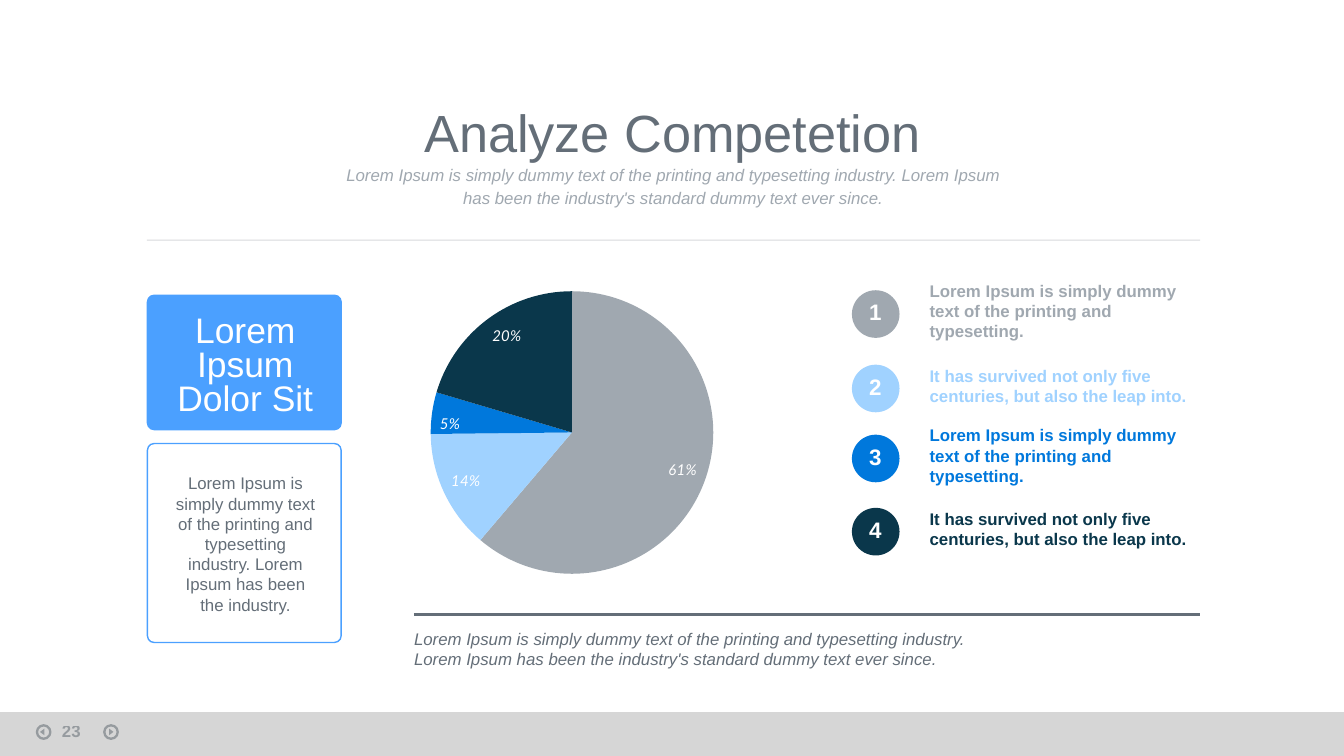
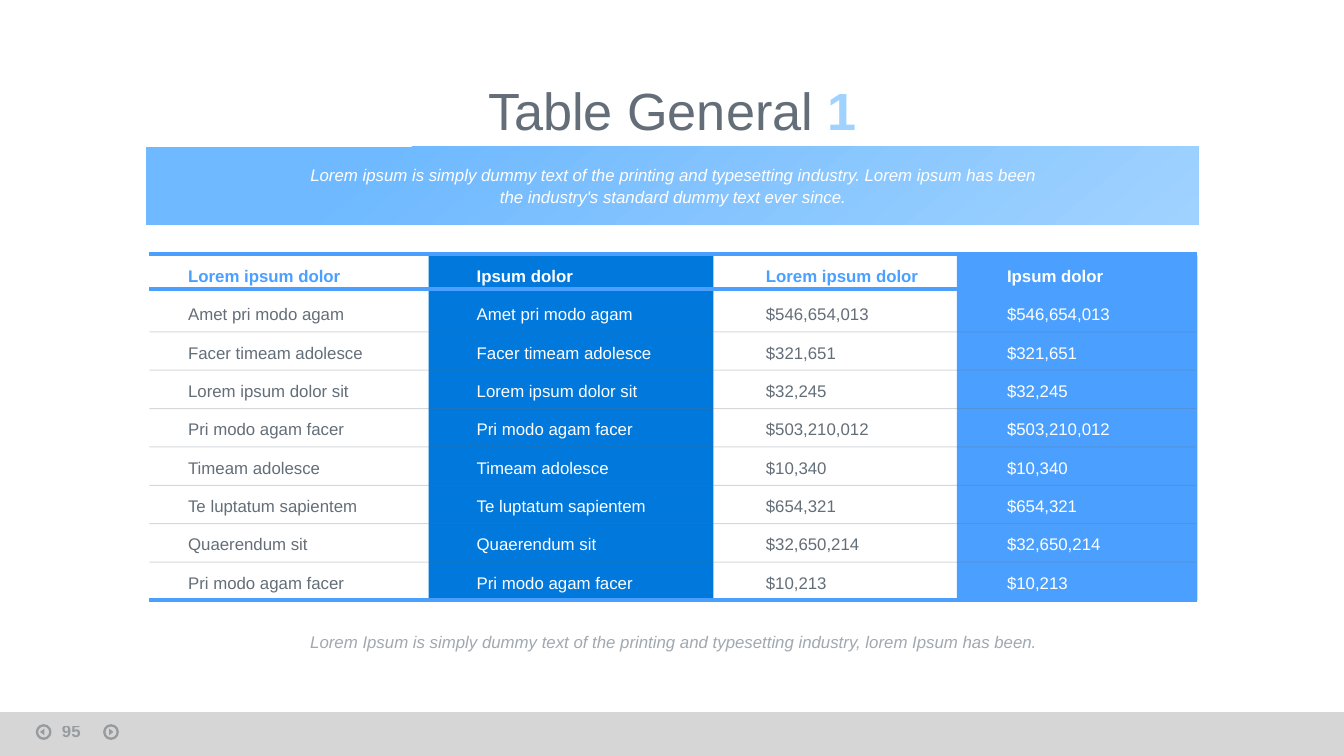
from dataclasses import dataclass

from lxml import etree
from pptx import Presentation
from pptx.chart.data import CategoryChartData
from pptx.dml.color import RGBColor
from pptx.enum.chart import XL_CHART_TYPE, XL_LABEL_POSITION
from pptx.enum.shapes import MSO_CONNECTOR, MSO_SHAPE
from pptx.enum.text import MSO_ANCHOR, PP_ALIGN
from pptx.oxml.ns import qn
from pptx.util import Pt

LEFT, MID = PP_ALIGN.LEFT, PP_ALIGN.CENTER
TOP, CENTER = MSO_ANCHOR.TOP, MSO_ANCHOR.MIDDLE
RECT, ROUND = MSO_SHAPE.RECTANGLE, MSO_SHAPE.ROUNDED_RECTANGLE
OVAL, ARROW = MSO_SHAPE.OVAL, MSO_SHAPE.ISOSCELES_TRIANGLE
PIE, INNER = XL_CHART_TYPE.PIE, XL_LABEL_POSITION.INSIDE_END
STRAIGHT = MSO_CONNECTOR.STRAIGHT


@dataclass(frozen=True)
class Theme:
    slate: str = "646E78"
    gray: str = "A0A8B0"
    pale: str = "A0D2FF"
    sky: str = "6EB9FF"
    blue: str = "4BA0FF"
    deep: str = "0078DC"
    navy: str = "0A374B"
    ink: str = "051423"
    band: str = "D2D2D2"
    white: str = "FFFFFF"
    black: str = "000000"
    font: str = "Arial"
    chart: str = "Calibri"
    label: str = "Lato"
    title: float = 28
    head: float = 19
    badge: float = 12
    plot: float = 9.1
    body: float = 9
    small: float = 8


T = Theme()


def rgb(code):
    return RGBColor.from_string(code)


def fade(node, part):
    """Give every colour inside the XML node an opacity in percent."""
    for color in node.iter(qn("a:srgbClr")):
        etree.SubElement(color, qn("a:alpha"), val=str(part * 1000))


def put(frame, text, size=T.body, color=T.slate, bold=False, italic=False,
        align=LEFT, anchor=CENTER, space=None, inset=(0, 0, 0, 0), alpha=None):
    """Write a string, or paragraphs made of (text, changes) runs, into a frame."""
    frame.word_wrap = True
    frame.vertical_anchor = anchor
    (frame.margin_left, frame.margin_top,
     frame.margin_right, frame.margin_bottom) = map(Pt, inset)
    for spot, runs in enumerate([[(text, {})]] if isinstance(text, str) else text):
        para = frame.add_paragraph() if spot else frame.paragraphs[0]
        para.alignment = align
        if space:
            para.line_spacing = space
        for words, change in runs:
            run = para.add_run()
            run.text = words
            font = run.font
            font.name, font.size, font.italic = T.font, Pt(size), italic
            font.bold = change.get("bold", bold)
            font.color.rgb = rgb(change.get("color", color))
            if alpha:
                fade(run._r, alpha)


def dress(labels, color, italic=False):
    """Style one data label, or all labels of a series."""
    font = labels.font
    font.name, font.size, font.italic = T.label, Pt(T.small), italic
    font.color.rgb = rgb(color)
    labels.position = INNER


class Deck:
    def __init__(self):
        self.file = Presentation()
        self.file.slide_width, self.file.slide_height = Pt(720), Pt(405)

    def page(self, number):
        """Start a slide with its footer band, arrows and number."""
        self.slide = self.file.slides.add_slide(self.file.slide_layouts[6])
        self.shapes = self.slide.shapes
        self.shape(RECT, (0, 381.6, 720, 23.4), fill=T.band, alpha=90)
        for left, tip, turn in ((55.9, 57.8, 90), (19.8, 20.8, 270)):
            self.shape(OVAL, (left, 388.6, 7.2, 7.2), line=T.ink, width=1.25, alpha=30)
            self.shape(ARROW, (tip, 390.9, 3.6, 2.4), fill=T.ink, alpha=30).rotation = turn
        self.text(number, (26.1, 382.7, 30.2, 15.1), color=T.ink, bold=True,
                  anchor=TOP, inset=(7.2, 3.6, 7.2, 3.6), alpha=30)

    def shape(self, kind, box, fill=None, line=None, width=0.75, alpha=None, curve=None):
        item = self.shapes.add_shape(kind, *map(Pt, box))
        item.shadow.inherit = False
        if fill:
            item.fill.solid()
            item.fill.fore_color.rgb = rgb(fill)
        else:
            item.fill.background()
        if line:
            item.line.color.rgb = rgb(line)
            item.line.width = Pt(width)
        else:
            item.line.fill.background()
        if curve:
            item.adjustments[0] = curve
        if alpha:
            fade(item._element.spPr, alpha)
        return item

    def text(self, text, box, **style):
        put(self.shapes.add_textbox(*map(Pt, box)).text_frame, text, **style)

    def title(self, text, top, **style):
        self.text(text, (125.8, top, 468.7, 37.4), size=T.title, align=MID, **style)

    def rule(self, left, right, top, width, color=T.slate, alpha=None):
        line = self.shapes.add_connector(STRAIGHT, *map(Pt, (left, top, right, top)))
        line.line.color.rgb = rgb(color)
        line.line.width = Pt(width)
        props = line._element.spPr
        if alpha:
            fade(props, alpha)
        etree.SubElement(props, qn("a:effectLst"))

    def pie(self, box, plot, values, colors):
        data = CategoryChartData()
        data.categories = [str(n + 1) for n in range(len(values))]
        data.add_series("Series 1", values)
        chart = self.shapes.add_chart(PIE, *map(Pt, box), data).chart
        chart.has_legend = chart.has_title = False
        chart.font.name, chart.font.size = T.chart, Pt(T.plot)
        chart.font.color.rgb = rgb(T.black)
        chart.plots[0].vary_by_categories = True
        series = chart.plots[0].series[0]
        series.data_labels.show_value = True
        dress(series.data_labels, T.black)
        for spot, color in enumerate(colors):
            point = series.points[spot]
            point.format.fill.solid()
            point.format.fill.fore_color.rgb = rgb(color)
            dress(point.data_label, T.white, italic=True)
            mark = point.data_label._get_or_add_dLbl()
            mark.find(qn("c:showVal")).set("val", "0")
            mark.find(qn("c:showPercent")).set("val", "1")
        self.place(chart, plot)

    def place(self, chart, plot):
        """Fix the inner plot area, given as shares of the chart."""
        area = chart._chartSpace.chart.plotArea
        for old in area.findall(qn("c:layout")):
            area.remove(old)
        layout = etree.Element(qn("c:layout"))
        area.insert(0, layout)
        manual = etree.SubElement(layout, qn("c:manualLayout"))
        marks = [("layoutTarget", "inner"), ("xMode", "edge"), ("yMode", "edge")]
        for tag, value in marks + list(zip("xywh", plot)):
            etree.SubElement(manual, qn(f"c:{tag}"), val=str(value))

    def column(self, left, width, head, cells, tint, color):
        """Set a heading and its cells on the shared row pitch."""
        lines = [[(head, {"color": tint, "bold": True})]]
        lines += [[(cell, {})] for cell in cells]
        self.text(lines, (left, 132.5, width, 185), color=color, space=1.9)


def market(deck):
    deck.page("23")
    deck.title("Analyze Competetion", 51.8)
    lorem = ("Lorem Ipsum is simply dummy text of the printing and typesetting industry. "
             "Lorem Ipsum has been the industry's standard dummy text ever since.")
    deck.text(lorem, (179.8, 86.6, 361.4, 25.2), color=T.gray, italic=True,
              align=MID, space=Pt(12))
    deck.rule(78.7, 643, 128.7, 0.5, alpha=25)

    colors = T.gray, T.pale, T.deep, T.navy
    deck.pie((92.5, 130, 411.1, 182.2), (0.325, 0.143, 0.391, 0.831),
             (90, 20, 7, 30), colors)
    notes = ("Lorem Ipsum is simply dummy text of the printing and typesetting.",
             "It has survived not only five centuries, but also the leap into.") * 2
    tops = 154, 193.9, 231.4, 270.6
    for number, (note, color, top) in enumerate(zip(notes, colors, tops), 1):
        deck.text(note, (498, top, 144.7, 25.2), color=color, bold=True)
        deck.shape(OVAL, (456.4, top + 1.5, 25.5, 25.5), fill=color)
        deck.text(str(number), (456, top + 2.2, 25.9, 25.2), size=T.badge,
                  color=T.white, bold=True, align=MID, space=0.7)

    deck.rule(221.8, 643, 329.2, 1.5)
    deck.text(lorem, (221.8, 334.8, 301, 25.2), italic=True)
    deck.shape(ROUND, (79, 237.6, 103.8, 106.6), line=T.blue, curve=0.035)
    deck.text("Lorem Ipsum is simply dummy text of the printing and typesetting industry. "
              "Lorem Ipsum has been the industry.", (92.2, 250.3, 78.5, 82), align=MID)
    deck.shape(ROUND, (79, 158.2, 103.8, 72), fill=T.blue, line=T.blue, curve=0.05)
    deck.text("Lorem Ipsum Dolor Sit", (87.1, 175, 88.6, 43.2), size=T.head,
              color=T.white, align=MID, space=0.8)


def prices(deck):
    deck.page("95")
    for left, width, color in ((512.6, 128.9, T.blue), (229.6, 152.6, T.deep)):
        deck.shape(RECT, (left, 136.8, width, 185), fill=color)
    for row in range(7):
        deck.rule(80, 641, 177.8 + 20.55 * row, 0.5, alpha=25)
    for top in (136, 154.8, 321.3):
        deck.rule(80, 641, top, 2, color=T.blue)

    names = ["Amet pri modo agam", "Facer timeam adolesce", "Lorem ipsum dolor sit",
             "Pri modo agam facer Timeam adolesce",
             "Te luptatum sapientem Quaerendum sit", "Pri modo agam facer"]
    sums = ["$546,654,013", "$321,651", "$32,245", "$503,210,012", "$10,340",
            "$654,321", "$32,650,214", "$10,213"]
    long, short = "Lorem ipsum dolor", "Ipsum dolor"
    deck.column(100.8, 100, long, names, T.blue, T.slate)
    deck.column(255.4, 100, short, names, T.white, T.white)
    deck.column(410.3, 82, long, sums, T.blue, T.slate)
    deck.column(539.5, 82, short, sums, T.white, T.white)

    deck.title([[("Table General ", {}), ("1", {"color": T.pale, "bold": True})]],
               44.3, space=0.7)
    fill = deck.shape(RECT, (78.3, 78.5, 563.8, 41.8), fill=T.sky).fill
    fill.gradient()
    fill.gradient_angle = 310
    for stop, color, spot in zip(fill.gradient_stops, (T.sky, T.pale), (0.2, 1)):
        stop.color.rgb, stop.position = rgb(color), spot
    deck.text("Lorem ipsum is simply dummy text of the printing and typesetting industry. "
              "Lorem ipsum has been the industry's standard dummy text ever since.",
              (160, 86.4, 401, 25.2), color=T.white, italic=True,
              align=MID, space=Pt(12))
    deck.text("Lorem Ipsum is simply dummy text of the printing and typesetting industry, "
              "lorem Ipsum has been.", (140.4, 336.7, 440.6, 14.4), color=T.gray,
              italic=True, align=MID)


def main():
    deck = Deck()
    market(deck)
    prices(deck)
    deck.file.save("out.pptx")


if __name__ == "__main__":
    main()
